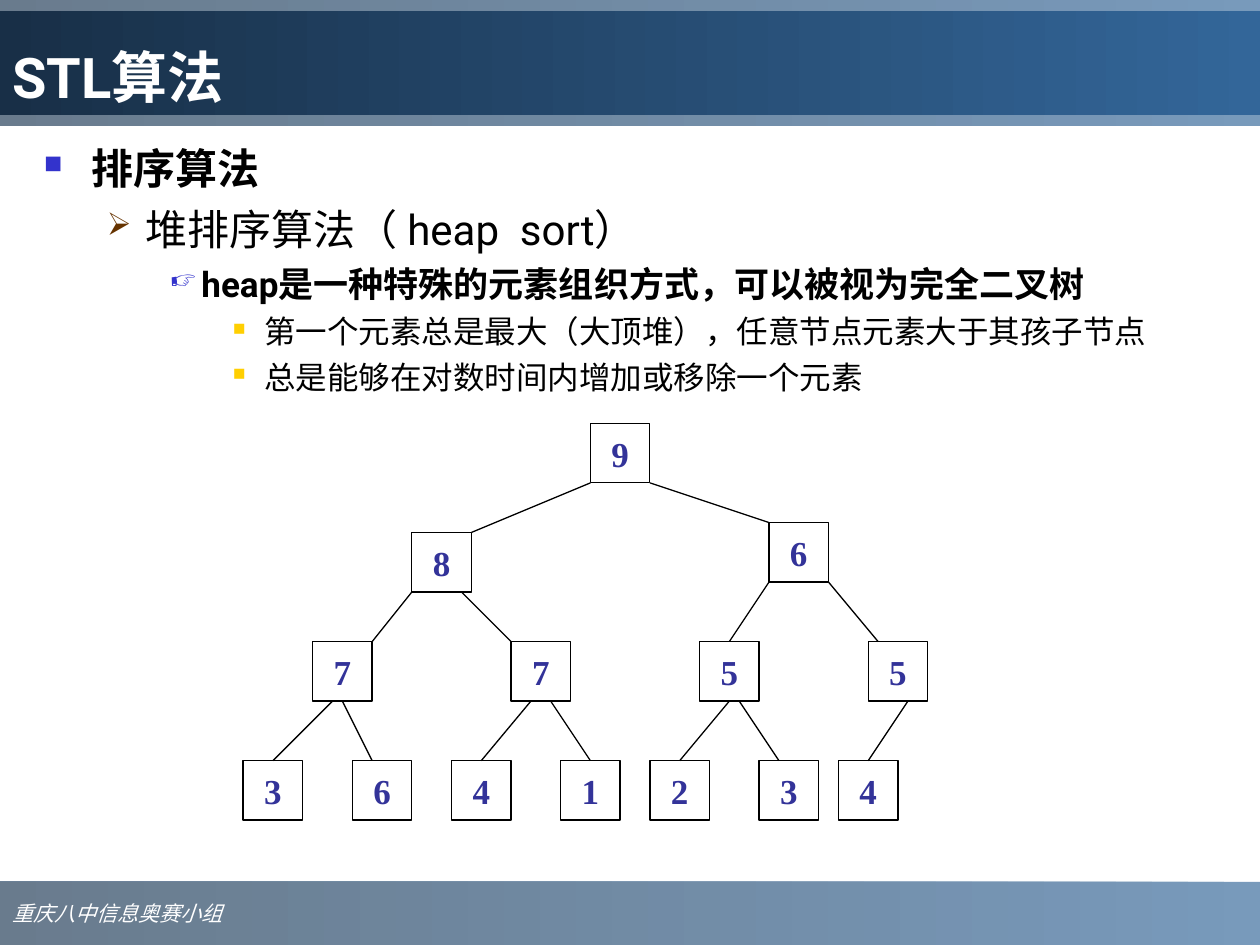
from lxml.etree import SubElement
from pptx import Presentation
from pptx.dml.color import RGBColor
from pptx.enum.shapes import MSO_CONNECTOR, MSO_SHAPE
from pptx.enum.text import MSO_ANCHOR, PP_ALIGN
from pptx.oxml.ns import qn
from pptx.util import Inches, Mm, Pt


def color(value):
    return RGBColor.from_string(value)


def style(p, font, size, rgb, bold=False, italic=False):
    for r in p.runs:
        r.font.name, r.font.size = font, Pt(size)
        r.font.bold, r.font.italic = bold, italic
        r.font.color.rgb = color(rgb)


prs = Presentation()
prs.slide_width, prs.slide_height = Inches(10), Inches(7.5)
W, H = prs.slide_width, prs.slide_height
s = prs.slides.add_slide(prs.slide_layouts[6])

# Gradient bands: footer, translucent header, title bar
bands = []
for top, height, dark, alpha in [
    (H * 14 // 15, H // 15, "1C3853", 66),
    (0, H * 2 // 15, "1C3853", 66),
    (H // 90, H // 9, "182F47", 100),
]:
    sp = s.shapes.add_shape(MSO_SHAPE.RECTANGLE, 0, top, W, height)
    sp.shadow.inherit = False
    sp.line.fill.background()
    sp.fill.gradient()
    sp.fill.gradient_angle = 180
    for stop, rgb, position in zip(sp.fill.gradient_stops, ("336699", dark), (0, 1)):
        stop.color.rgb = color(rgb)
        stop.position = position
    if alpha < 100:
        for clr in sp.fill._xPr.iter(qn("a:srgbClr")):
            SubElement(clr, qn("a:alpha"), val=str(alpha * 1000))
    bands.append(sp)
footer, _, title = bands

# Footer and title text
for sp, text, anchor, font, size, bold, italic in [
    (footer, "重庆八中信息奥赛小组", MSO_ANCHOR.MIDDLE, "Arial", 12, False, True),
    (title, "STL算法", MSO_ANCHOR.BOTTOM, "Roboto", 32, True, False),
]:
    tf = sp.text_frame
    tf.text = text
    tf.vertical_anchor = anchor
    p = tf.paragraphs[0]
    p.alignment = PP_ALIGN.LEFT
    style(p, font, size, "FFFFFF", bold, italic)

# Bulleted outline: margin, hanging, bullet, colour, percent, space before
levels = [
    (0.38, 0.38, "■", "3333CC", 60, 0),
    (0.81, 0.31, "➢", "663300", 75, 6),
    (1.25, 0.25, "☞", "3333CC", 75, 5),
    (1.75, 0.25, "■", "FFCF01", 55, 4.5),
]
outline = [
    (0, "排序算法", 24, True),
    (1, "堆排序算法（ heap  sort）", 24, False),
    (2, "heap是一种特殊的元素组织方式，可以被视为完全二叉树", 20, True),
    (3, "第一个元素总是最大（大顶堆），任意节点元素大于其孩子节点", 18, False),
    (3, "总是能够在对数时间内增加或移除一个元素", 18, False),
]
tf = s.shapes.add_textbox(Inches(0.25), Inches(1.08), Inches(9.42), Inches(5.83)).text_frame
tf.word_wrap = True
tf.text = "\n".join(text for _, text, _, _ in outline)
for p, (level, _, size, bold) in zip(tf.paragraphs, outline):
    margin, hanging, bullet, rgb, percent, before = levels[level]
    p.level = level
    pPr = p._p.get_or_add_pPr()
    pPr.set("marL", str(Inches(margin)))
    pPr.set("indent", str(-Inches(hanging)))
    SubElement(SubElement(pPr, qn("a:buClr")), qn("a:srgbClr"), val=rgb)
    SubElement(pPr, qn("a:buSzPct"), val=str(percent * 1000))
    SubElement(pPr, qn("a:buChar"), char=bullet)
    p.space_before = Pt(before)
    style(p, "Roboto", size, "000000", bold)

# Heap nodes in array order: value, column, row on a 2 mm grid
UNIT, SIDE = Mm(2), 6
LEFT, TOP = Inches(1.93), Inches(3.36)
heap = [
    (9, 35, 0),
    (8, 17, 11), (6, 53, 10),
    (7, 7, 22), (7, 27, 22), (5, 46, 22), (5, 63, 22),
    (3, 0, 34), (6, 11, 34), (4, 21, 34), (1, 32, 34),
    (2, 41, 34), (3, 52, 34), (4, 60, 34),
]
nodes = []
for value, col, row in heap:
    sp = s.shapes.add_shape(MSO_SHAPE.RECTANGLE, LEFT + col * UNIT, TOP + row * UNIT,
                            SIDE * UNIT, SIDE * UNIT)
    sp.shadow.inherit = False
    sp.fill.solid()
    sp.fill.fore_color.rgb = color("FFFFFF")
    sp.line.color.rgb = color("000000")
    sp.line.width = Pt(0.75)
    tf = sp.text_frame
    tf.margin_left = tf.margin_right = tf.margin_top = tf.margin_bottom = 0
    tf.word_wrap = False
    tf.vertical_anchor = MSO_ANCHOR.MIDDLE
    tf.text = str(value)
    tf.paragraphs[0].alignment = PP_ALIGN.CENTER
    style(tf.paragraphs[0], "Times New Roman", 20, "333399", True)
    nodes.append(sp)

# Edges: offsets along the parent's bottom and the child's top, in grid units
offsets = [(0, 6), (6, 0), (0, 6), (5, 0), (0, 3), (6, 1), (2, 3),
           (3, 2), (2, 3), (4, 3), (3, 3), (4, 2), (4, 3)]
for i, (start, end) in enumerate(offsets, 1):
    parent, child = nodes[(i - 1) // 2], nodes[i]
    edge = s.shapes.add_connector(
        MSO_CONNECTOR.STRAIGHT,
        parent.left + start * UNIT, parent.top + parent.height,
        child.left + end * UNIT, child.top)
    if start == SIDE / 2:
        edge.begin_connect(parent, 2)
    if end == SIDE / 2:
        edge.end_connect(child, 0)
    edge.line.color.rgb = color("000000")
    edge.line.width = Pt(0.75)
    SubElement(edge._element.spPr, qn("a:effectLst"))

prs.save("out.pptx")
